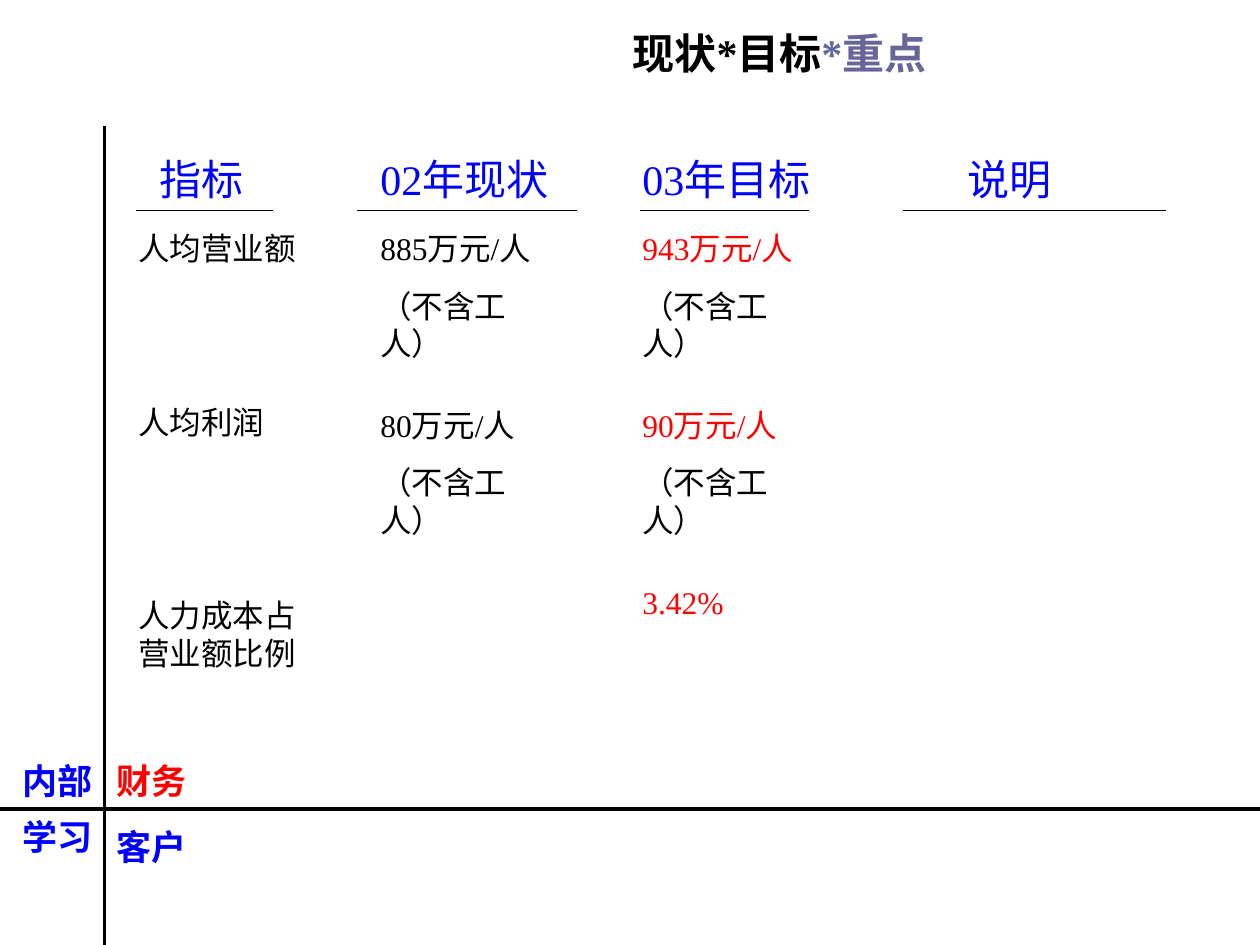
"""Build the status and target slide of a balanced scorecard."""
from lxml import etree
from pptx import Presentation, util as u
from pptx.dml.color import RGBColor
from pptx.enum import shapes, text
from pptx.oxml.ns import qn

COLORS = {"black": "000000", "blue": "0000FF", "red": "FF0000", "slate": "666699"}
FONT = "Times New Roman"

TITLE = [("现状*目标", "black"), ("*重点", "slate")]
NOTE = ("（不含工人）", "black")

# text, left, top, colour
QUADRANTS = [
    ("内部", 0.08, 5.98, "blue"),
    ("财务", 0.83, 5.98, "red"),
    ("学习", 0.08, 6.42, "blue"),
    ("客户", 0.83, 6.5, "blue"),
]
# heading, left, width, underline start, underline end
COLUMNS = [
    ("指标", 1.17, 1.42, 1.08, 2.17),
    ("02年现状", 2.92, 1.75, 2.83, 4.58),
    ("03年目标", 5, 1.83, 5.08, 6.42),
    ("说明", 7.58, 1.83, 7.17, 9.25),
]
CELL_LEFTS = [1, 2.92, 5]
# each cell: top, height, lines
ROWS = [
    [(1.77, 0.86, [("人均营业额", "black")]),
     (1.77, 1.62, [("885万元/人", "black"), NOTE]),
     (1.77, 1.16, [("943万元/人", "red"), NOTE])],
    [(3.15, 0.86, [("人均利润", "black")]),
     (3.17, 1.62, [("80万元/人", "black"), NOTE]),
     (3.17, 1.62, [("90万元/人", "red"), NOTE])],
    [(4.68, 1.16, [("人力成本占营业额比例", "black")]),
     None,
     (4.58, 0.86, [("3.42%", "red")])],
]
AXES = [(0.83, 1, 0.83, 7.5), (0, 6.42, 10, 6.42)]


def add_run(p, content, size=18, color="black", bold=False):
    r = p.add_run()
    r.text = content
    r.font.name, r.font.size, r.font.bold = FONT, u.Pt(size), bold
    r.font.color.rgb = RGBColor.from_string(COLORS[color])


def add_text(s, lines, left, top, width, height, **fmt):
    sp = s.shapes.add_textbox(*map(u.Inches, (left, top, width, height)))
    tf = sp.text_frame
    tf.word_wrap = True
    for i, (content, color) in enumerate(lines):
        p = tf.add_paragraph() if i else tf.paragraphs[0]
        if i:
            p.space_before = u.Pt(11.2)
        add_run(p, content, color=color, **fmt)


def add_line(s, x1, y1, x2, y2, width):
    sp = s.shapes.add_connector(
        shapes.MSO_CONNECTOR.STRAIGHT, *map(u.Inches, (x1, y1, x2, y2)))
    sp.line.width = u.Pt(width)
    sp.line.color.rgb = RGBColor.from_string(COLORS["black"])
    etree.SubElement(sp._element.spPr, qn("a:effectLst"))


def add_title(s):
    sp = s.shapes.title
    sp.left, sp.top, sp.width, sp.height = map(u.Inches, (4.92, 0, 6.75, 0.83))
    tf = sp.text_frame
    tf.auto_size = text.MSO_AUTO_SIZE.NONE
    tf.vertical_anchor = text.MSO_ANCHOR.MIDDLE
    p = tf.paragraphs[0]
    p.alignment = text.PP_ALIGN.LEFT
    for content, color in TITLE:
        add_run(p, content, size=24, color=color, bold=True)


def main():
    prs = Presentation()
    prs.slide_width, prs.slide_height = u.Inches(10), u.Inches(7.5)
    s = prs.slides.add_slide(prs.slide_layouts[5])
    add_title(s)
    for axis in AXES:
        add_line(s, *axis, width=2)
    for label, left, top, color in QUADRANTS:
        add_text(s, [(label, color)], left, top, 1, 0.44, size=20, bold=True)
    for heading, left, width, start, end in COLUMNS:
        add_text(s, [(heading, "blue")], left, 1.17, width, 0.5, size=24)
        add_line(s, start, 1.67, end, 1.67, width=0.75)
    for row in ROWS:
        for left, cell in zip(CELL_LEFTS, row):
            if cell:
                top, height, lines = cell
                add_text(s, lines, left, top, 1.58, height)
    prs.save("out.pptx")


if __name__ == "__main__":
    main()
